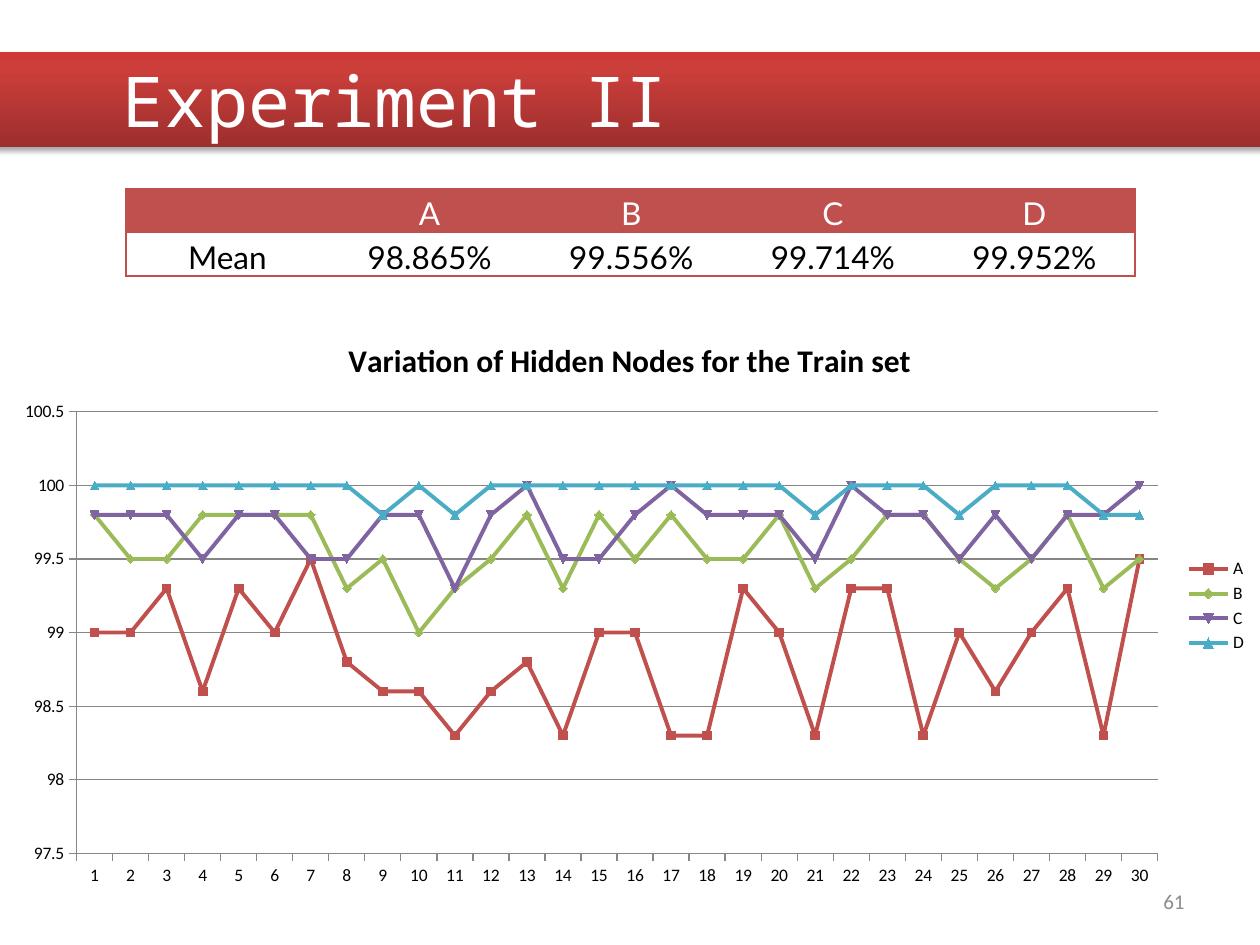
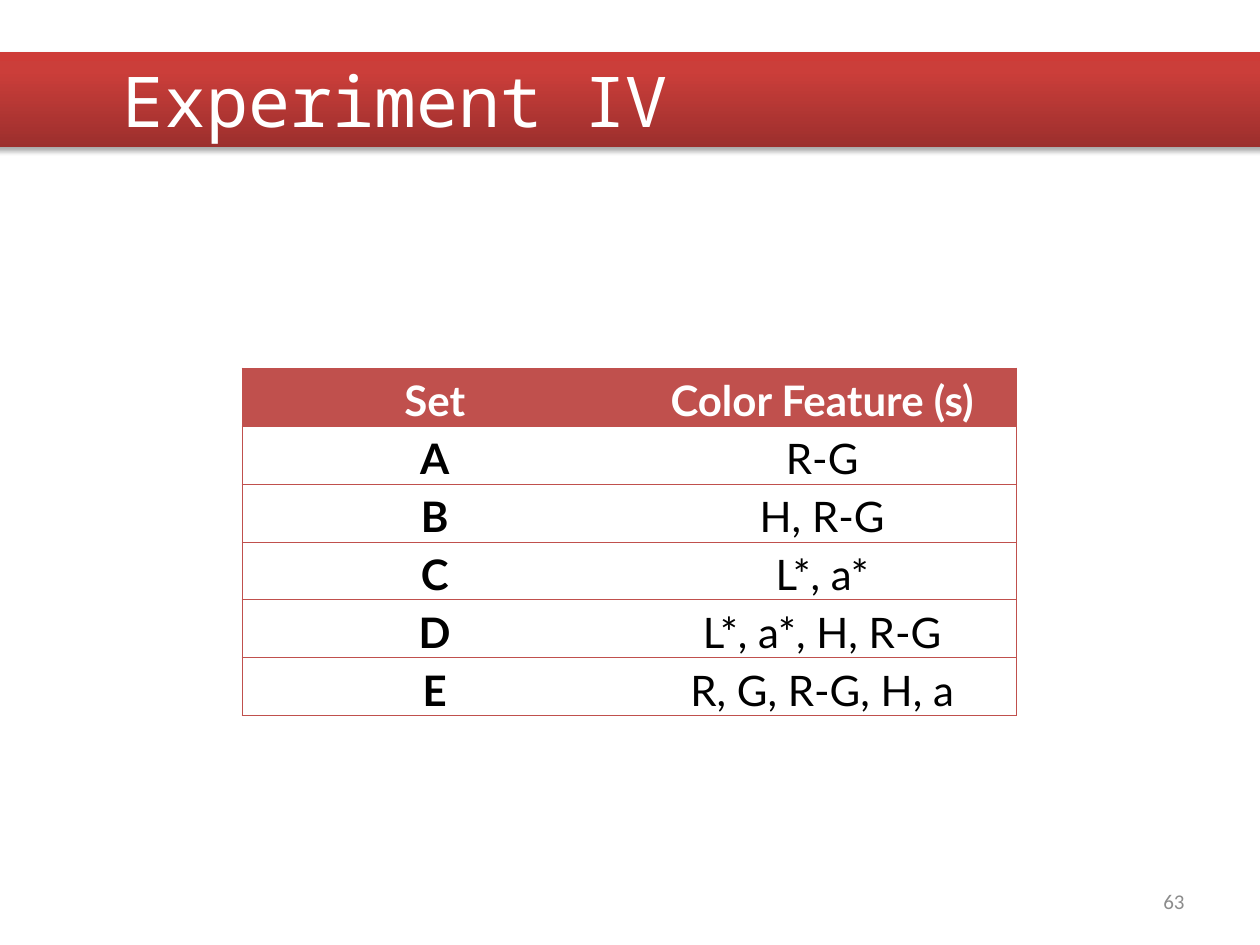
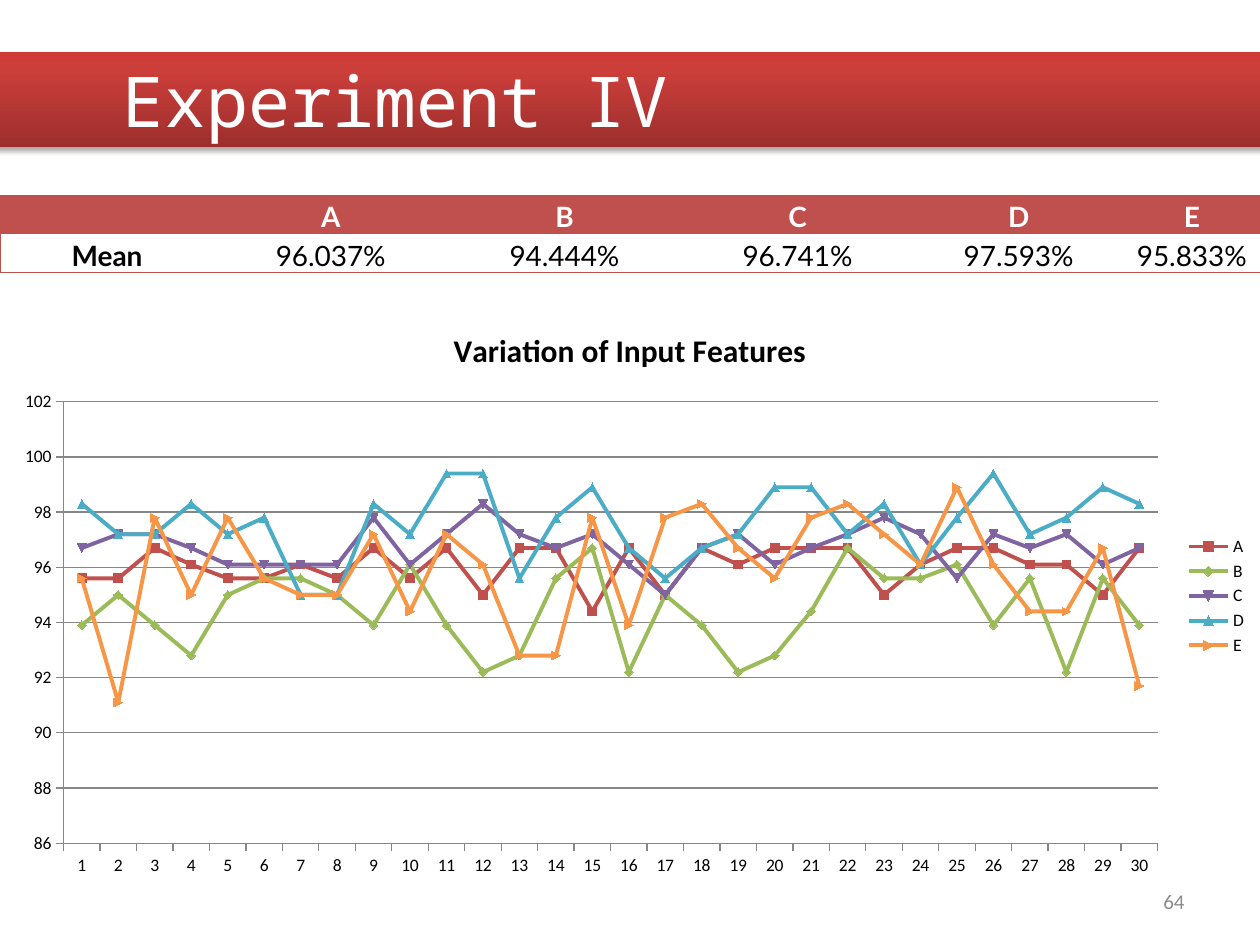
from lxml import etree
from pptx import Presentation
from pptx.chart.data import CategoryChartData
from pptx.dml.color import RGBColor
from pptx.enum.chart import XL_CHART_TYPE, XL_LEGEND_POSITION, XL_TICK_MARK
from pptx.enum.text import MSO_ANCHOR, MSO_AUTO_SIZE, PP_ALIGN
from pptx.util import Inches, Pt

LINES = XL_CHART_TYPE.LINE_MARKERS
RIGHT_SIDE = XL_LEGEND_POSITION.RIGHT
OUTSIDE = XL_TICK_MARK.OUTSIDE
MIDDLE = MSO_ANCHOR.MIDDLE
NO_FIT = MSO_AUTO_SIZE.NONE
LEFT, CENTER, RIGHT = PP_ALIGN.LEFT, PP_ALIGN.CENTER, PP_ALIGN.RIGHT

WHITE = RGBColor(0xFF, 0xFF, 0xFF)
BLACK = RGBColor(0, 0, 0)
RED = RGBColor(0xC0, 0x50, 0x4D)
GRAY = RGBColor(0x8C, 0x8C, 0x8C)
GRID = RGBColor(0x86, 0x86, 0x86)
HUES = [RED, RGBColor(0x9B, 0xBB, 0x59), RGBColor(0x80, 0x64, 0xA2),
        RGBColor(0x4B, 0xAC, 0xC6), RGBColor(0xF7, 0x96, 0x46)]

NS = 'xmlns:a="http://schemas.openxmlformats.org/drawingml/2006/main"'
PLAIN_STYLE = "{2D5ABB26-0587-4C30-8999-92F81FD0307C}"
BAND = [
    f'<a:prstGeom {NS} prst="roundRect"><a:avLst/></a:prstGeom>',
    f'''<a:gradFill {NS}><a:gsLst>
    <a:gs pos="0"><a:srgbClr val="9C2F2D"/></a:gs>
    <a:gs pos="80000"><a:srgbClr val="CB3E3A"/></a:gs>
    <a:gs pos="100000"><a:srgbClr val="CE3B37"/></a:gs>
    </a:gsLst><a:lin ang="16200000" scaled="0"/></a:gradFill>''',
    f'''<a:effectLst {NS}><a:outerShdw blurRad="40000" dist="23000"
    dir="5400000" rotWithShape="0"><a:srgbClr val="000000">
    <a:alpha val="35000"/></a:srgbClr></a:outerShdw></a:effectLst>''',
]

# Misclassified samples in each of the 30 runs, by series
TRAIN_MISSES = {
    "A": [4, 4, 3, 6, 3, 4, 2, 5, 6, 6, 7, 6, 5, 7, 4,
          4, 7, 7, 3, 4, 7, 3, 3, 7, 4, 6, 4, 3, 7, 2],
    "B": [1, 2, 2, 1, 1, 1, 1, 3, 2, 4, 3, 2, 1, 3, 1,
          2, 1, 2, 2, 1, 3, 2, 1, 1, 2, 3, 2, 1, 3, 2],
    "C": [1, 1, 1, 2, 1, 1, 2, 2, 1, 1, 3, 1, 0, 2, 2,
          1, 0, 1, 1, 1, 2, 0, 1, 1, 2, 1, 2, 1, 1, 0],
    "D": [0, 0, 0, 0, 0, 0, 0, 0, 1, 0, 1, 0, 0, 0, 0,
          0, 0, 0, 0, 0, 1, 0, 0, 0, 1, 0, 0, 0, 1, 1],
}
INPUT_MISSES = {
    "A": [8, 8, 6, 7, 8, 8, 7, 8, 6, 8, 6, 9, 6, 6, 10,
          6, 9, 6, 7, 6, 6, 6, 9, 7, 6, 6, 7, 7, 9, 6],
    "B": [11, 9, 11, 13, 9, 8, 8, 9, 11, 7, 11, 14, 13, 8, 6,
          14, 9, 11, 14, 13, 10, 6, 8, 8, 7, 11, 8, 14, 8, 11],
    "C": [6, 5, 5, 6, 7, 7, 7, 7, 4, 7, 5, 3, 5, 6, 5,
          7, 9, 6, 5, 7, 6, 5, 4, 5, 8, 5, 6, 5, 7, 6],
    "D": [3, 5, 5, 3, 5, 4, 9, 9, 3, 5, 1, 1, 8, 4, 2,
          6, 8, 6, 5, 2, 2, 5, 3, 7, 4, 1, 5, 4, 2, 3],
    "E": [8, 16, 4, 9, 4, 8, 9, 9, 5, 10, 5, 7, 13, 13, 4,
          11, 4, 3, 6, 8, 4, 3, 5, 7, 2, 7, 10, 10, 6, 15],
}

SLIDES = [
    dict(title="Experiment II", page="61",
         rows=[["", "A", "B", "C", "D"],
               ["Mean", "98.865%", "99.556%", "99.714%", "99.952%"]],
         at=(1, 1.5), cols=[1.61] + [1.6] * 4, high=0.69, size=18, bold=False, rule=1,
         chart=dict(title="Variation of Hidden Nodes for the Train set", top=2.5,
                    misses=TRAIN_MISSES, total=420, axis=(97.5, 100.5, 0.5))),
    dict(title="Experiment IV", page="63",
         rows=[["Set", "Color Feature (s)"], ["A", "R-G"], ["B", "H, R-G"],
               ["C", "L*, a*"], ["D", "L*, a*, H, R-G"], ["E", "R, G, R-G, H, a"]],
         at=(1.92, 2.92), cols=[3.06, 3.09], high=2.76, size=24, bold=True, rule=0.5,
         chart=None),
    dict(title="Experiment IV", page="64",
         rows=[["", "A", "B", "C", "D", "E"],
               ["Mean", "96.037%", "94.444%", "96.741%", "97.593%", "95.833%"]],
         at=(0, 1.55), cols=[1.7, 1.85, 1.86, 1.84, 1.67, 1.08], high=0.61,
         size=16, bold=True, rule=0.5,
         chart=dict(title="Variation of Input Features", top=2.42,
                    misses=INPUT_MISSES, total=180, axis=(86, 102, 2))),
]


def put(frame, text, size=12, color=BLACK, font="Calibri", bold=False,
        align=LEFT, spacing=1.0):
    para = frame.paragraphs[0]
    para.alignment = align
    para.line_spacing = spacing
    run = para.add_run()
    run.text = text
    run.font.size = Pt(size)
    run.font.name = font
    run.font.bold = bold
    run.font.color.rgb = color


def edge(cell, sides, width):
    """Draw red lines on the given sides of a table cell."""
    props = cell._tc.get_or_add_tcPr()
    for spot, side in enumerate(sides):
        props.insert(spot, etree.fromstring(
            f'<a:ln{side} {NS} w="{Pt(width)}"><a:solidFill>'
            f'<a:srgbClr val="{RED}"/></a:solidFill></a:ln{side}>'))


prs = Presentation()
prs.slide_width, prs.slide_height = Inches(10), Inches(7.5)

for data in SLIDES:
    slide = prs.slides.add_slide(prs.slide_layouts[5])

    # Title band
    title = slide.shapes.title
    title.left, title.top = Inches(-0.17), Inches(0.41)
    title.width, title.height = Inches(10.33), Inches(0.76)
    for part in BAND:
        title._element.spPr.append(etree.fromstring(part))
    frame = title.text_frame
    frame.auto_size = NO_FIT
    frame.vertical_anchor = MIDDLE
    frame.margin_left = Inches(1.14)
    put(frame, data["title"], size=40, color=WHITE, font="Noto Sans Mono")

    # Chart
    if data["chart"]:
        plan = data["chart"]
        runs = CategoryChartData()
        runs.categories = [str(n) for n in range(1, 31)]
        for name, misses in plan["misses"].items():
            runs.add_series(name, [round(100 - 100 * n / plan["total"], 1) for n in misses])
        chart = slide.shapes.add_chart(LINES, Inches(0), Inches(plan["top"]),
                                       Inches(10), Inches(4.62), runs).chart
        chart.font.size = Pt(10)
        chart.font.name = "Calibri"
        chart.font.color.rgb = BLACK
        chart.has_title = True
        put(chart.chart_title.text_frame, plan["title"], size=18, bold=True, align=CENTER)
        chart.chart_title.include_in_layout = False
        chart.has_legend = True
        chart.legend.position = RIGHT_SIDE
        chart.legend.include_in_layout = False
        scale = chart.value_axis
        scale.minimum_scale, scale.maximum_scale, scale.major_unit = plan["axis"]
        scale.major_gridlines.format.line.color.rgb = GRID
        scale.major_gridlines.format.line.width = Pt(0.75)
        for axis in (scale, chart.category_axis):
            axis.major_tick_mark = OUTSIDE
            axis.format.line.color.rgb = GRID
            axis.format.line.width = Pt(0.75)
        chart.plots[0].vary_by_categories = False
        for series, hue in zip(chart.plots[0].series, HUES):
            series.smooth = False
            series.format.line.color.rgb = hue
            series.format.line.width = Pt(2.25)
            series.marker.size = 5
            series.marker.format.fill.solid()
            series.marker.format.fill.fore_color.rgb = hue
            series.marker.format.line.color.rgb = hue

    # Table
    rows, cols = data["rows"], data["cols"]
    left, top = data["at"]
    table = slide.shapes.add_table(len(rows), len(cols), Inches(left), Inches(top),
                                   Inches(sum(cols)), Inches(data["high"])).table
    table._tbl.tblPr[0].text = PLAIN_STYLE
    for col, width in zip(table.columns, cols):
        col.width = Inches(width)
    for r, texts in enumerate(rows):
        table.rows[r].height = Inches(data["high"] / len(rows))
        for c, text in enumerate(texts):
            cell = table.cell(r, c)
            cell.margin_left = cell.margin_right = Inches(0.07)
            cell.margin_top = cell.margin_bottom = 0
            cell.vertical_anchor = MIDDLE
            if r == 0:
                cell.fill.solid()
                cell.fill.fore_color.rgb = RED
            else:
                cell.fill.background()
            put(cell.text_frame, text, size=data["size"], font="Lato",
                color=BLACK if r else WHITE, align=CENTER, spacing=1.15,
                bold=data["bold"] and (r == 0 or c == 0))
            sides = "L" * (c == 0) + "R" * (c == len(cols) - 1) + "TB"
            edge(cell, sides, data["rule"])

    # Page number
    box = slide.shapes.add_textbox(Inches(7.17), Inches(6.95), Inches(2.33), Inches(0.4))
    box.text_frame.word_wrap = True
    box.text_frame.vertical_anchor = MIDDLE
    put(box.text_frame, data["page"], color=GRAY, align=RIGHT)

prs.save("out.pptx")
